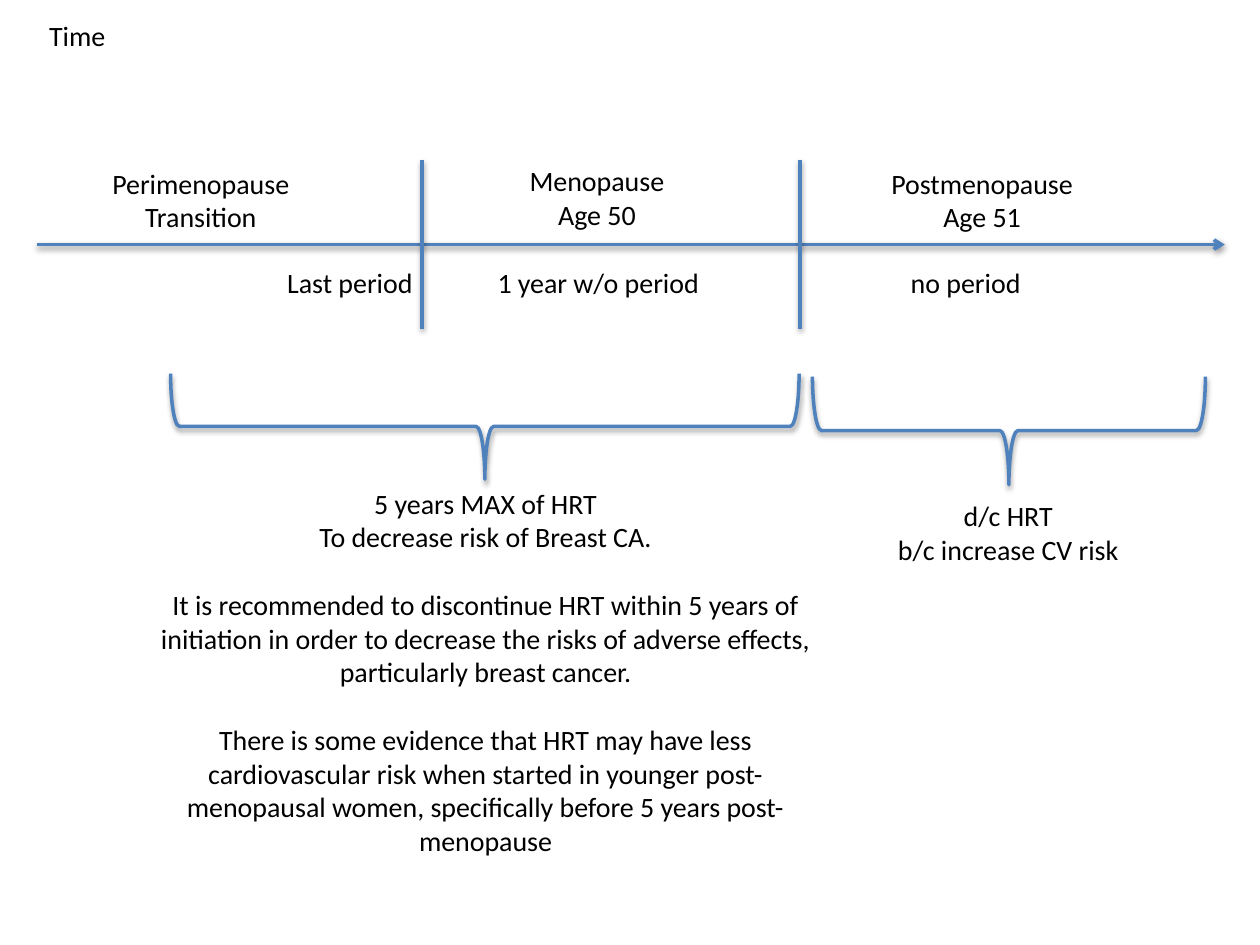
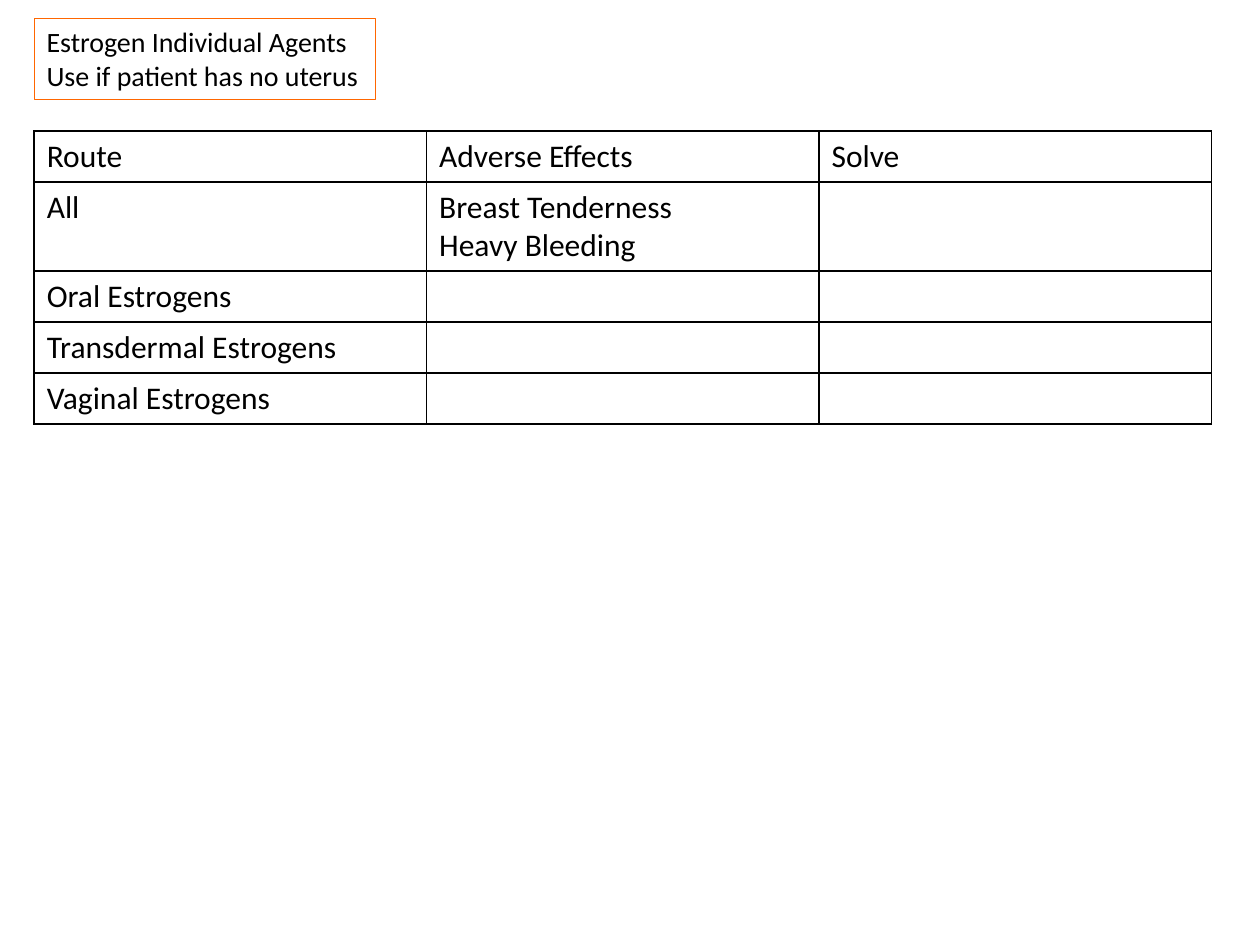
from lxml.etree import SubElement
from pptx import Presentation
from pptx.dml.color import RGBColor
from pptx.enum.shapes import MSO_CONNECTOR, MSO_SHAPE
from pptx.enum.text import PP_ALIGN
from pptx.oxml.ns import qn
from pptx.util import Cm, Pt

COLORS = {"text": "000000", "timeline": "4F81BD", "frame": "FF6600", "grid": "000000"}
FONT = "Calibri"
BODY_SIZE, TABLE_SIZE = 16, 18
ONE_LINE, TWO_LINES = 0.94, 1.63  # box heights in cm
PARAGRAPH_GAP = 19.5


def color(name):
    return RGBColor.from_string(COLORS[name])


def write_lines(text_frame, lines, size, align=PP_ALIGN.LEFT):
    for index, line in enumerate(lines):
        paragraph = text_frame.paragraphs[0] if index == 0 else text_frame.add_paragraph()
        paragraph.text = line
        paragraph.alignment = align
        paragraph.font.name = FONT
        paragraph.font.size = Pt(size)
        paragraph.font.color.rgb = color("text")


def add_label(slide, left, top, width, lines, align=PP_ALIGN.CENTER, wrap=False):
    height = ONE_LINE if len(lines) == 1 else TWO_LINES
    box = slide.shapes.add_textbox(Cm(left), Cm(top), Cm(width), Cm(height))
    box.text_frame.word_wrap = wrap
    write_lines(box.text_frame, lines, BODY_SIZE, align)
    return box


def style_timeline_part(shape):
    """Blue outline with a soft shadow straight below."""
    shape.line.color.rgb = color("timeline")
    shape.line.width = Pt(2)
    effects = SubElement(shape._element.spPr, qn("a:effectLst"))
    shadow = SubElement(effects, qn("a:outerShdw"), blurRad=str(Pt(3.1)),
                        dist=str(Pt(1.6)), dir="5400000", rotWithShape="0")
    shadow_color = SubElement(shadow, qn("a:srgbClr"), val=COLORS["text"])
    SubElement(shadow_color, qn("a:alpha"), val="38000")


def add_line(slide, start_x, start_y, end_x, end_y, arrow=False):
    line = slide.shapes.add_connector(MSO_CONNECTOR.STRAIGHT, Cm(start_x), Cm(start_y),
                                      Cm(end_x), Cm(end_y))
    style_timeline_part(line)
    if arrow:
        SubElement(line.line._get_or_add_ln(), qn("a:tailEnd"), type="arrow")


def add_brace_below(slide, left, top, width, depth):
    """Brace pointing down: a left brace turned about its centre."""
    shift = (width - depth) / 2
    brace = slide.shapes.add_shape(MSO_SHAPE.LEFT_BRACE, Cm(left + shift), Cm(top - shift),
                                   Cm(depth), Cm(width))
    brace.rotation = 270
    brace.fill.background()
    style_timeline_part(brace)


def style_cell(cell):
    properties = cell._tc.get_or_add_tcPr()
    for side in ("lnL", "lnR", "lnT", "lnB"):
        border = SubElement(properties, qn(f"a:{side}"), w=str(Pt(1)))
        fill = SubElement(border, qn("a:solidFill"))
        SubElement(fill, qn("a:srgbClr"), val=COLORS["grid"])
    cell.fill.background()


def add_grid(slide, left, top, column_width, row_heights, rows):
    columns = len(rows[0])
    table = slide.shapes.add_table(len(rows), columns, Cm(left), Cm(top),
                                   Cm(column_width * columns), Cm(sum(row_heights))).table
    table.first_row = table.horz_banding = False
    for column in table.columns:
        column.width = Cm(column_width)
    for row, height, texts in zip(table.rows, row_heights, rows):
        row.height = Cm(height)
        for cell, text in zip(row.cells, texts):
            write_lines(cell.text_frame, text.split("\n"), TABLE_SIZE)
            style_cell(cell)


def build_timeline(slide):
    # Time axis and stage dividers
    add_line(slide, 0.74, 4.93, 24.69, 4.93, arrow=True)
    for divider in (8.51, 16.13):
        add_line(slide, divider, 3.23, divider, 6.63)
    add_label(slide, 0.74, 0.25, 1.65, ["Time"], PP_ALIGN.LEFT)

    # Stages above the axis
    for left, top, width, lines in (
        (1.98, 3.23, 4.14, ["Perimenopause", "Transition"]),
        (10.41, 3.18, 3.25, ["Menopause", "Age 50"]),
        (17.68, 3.23, 4.24, ["Postmenopause", "Age 51"]),
    ):
        add_label(slide, left, top, width, lines)

    # Periods below the axis
    for left, width, text in (
        (5.54, 3.07, "Last period"),
        (9.78, 4.65, "1 year w/o period"),
        (18.11, 2.74, "no period"),
    ):
        add_label(slide, left, 5.23, width, [text], PP_ALIGN.LEFT)

    # Treatment spans
    add_brace_below(slide, 3.44, 7.53, 12.67, 2.13)
    add_brace_below(slide, 16.38, 7.59, 7.92, 2.18)
    advice = add_label(slide, 2.64, 9.68, 14.3, [
        "5 years MAX of HRT",
        "To decrease risk of Breast CA.",
        "It is recommended to discontinue HRT within 5 years of initiation in order to "
        "decrease the risks of adverse effects, particularly breast cancer.",
        "There is some evidence that HRT may have less cardiovascular risk when started in "
        "younger post-menopausal women, specifically before 5 years post-menopause",
    ], wrap=True)
    advice.height = Cm(8.46)
    for paragraph in advice.text_frame.paragraphs[2:]:
        paragraph.space_before = Pt(PARAGRAPH_GAP)
    add_label(slide, 17.81, 9.93, 5.03, ["d/c HRT", "b/c increase CV risk"])


def build_estrogen_agents(slide):
    # Framed heading
    heading = add_label(slide, 0.69, 0.38, 6.88,
                        ["Estrogen Individual Agents", "Use if patient has no uterus"],
                        PP_ALIGN.LEFT)
    heading.line.color.rgb = color("frame")
    heading.line.width = Pt(0.75)

    # Adverse effects by route
    add_grid(slide, 0.69, 2.64, 7.91, [1.03, 1.79, 1.03, 1.03, 1.03], [
        ("Route", "Adverse Effects", "Solve"),
        ("All", "Breast Tenderness\nHeavy Bleeding", ""),
        ("Oral Estrogens", "", ""),
        ("Transdermal Estrogens", "", ""),
        ("Vaginal Estrogens", "", ""),
    ])


def main():
    presentation = Presentation()
    presentation.slide_width, presentation.slide_height = Cm(25.4), Cm(19.05)
    blank = presentation.slide_layouts[6]
    for build in (build_timeline, build_estrogen_agents):
        build(presentation.slides.add_slide(blank))
    presentation.save("out.pptx")


if __name__ == "__main__":
    main()
